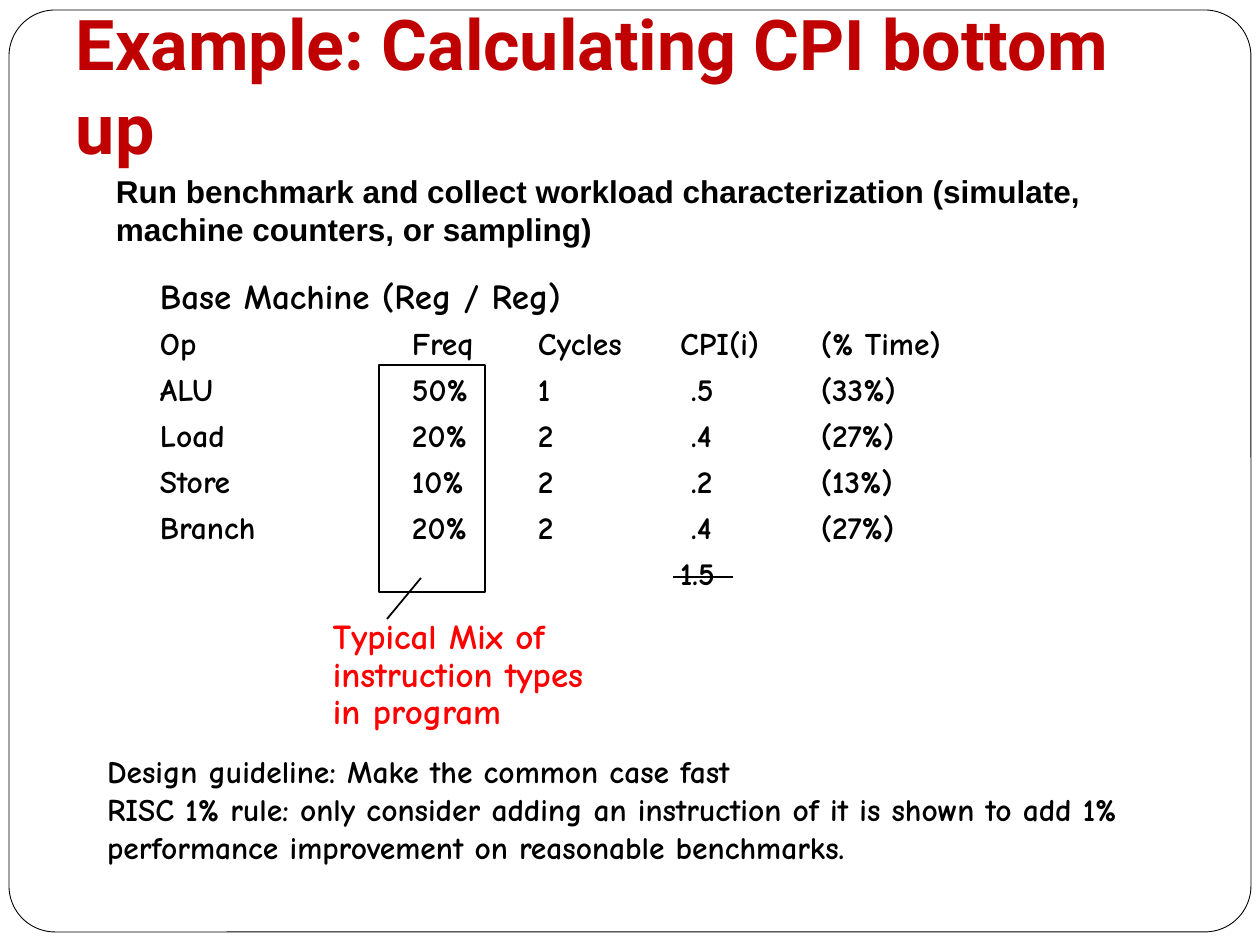
from dataclasses import dataclass

from lxml import etree
from pptx import Presentation
from pptx import util as u
from pptx.dml.color import RGBColor
from pptx.enum import shapes, text
from pptx.oxml.ns import qn


@dataclass(frozen=True)
class Theme:
    title: str = "C00000"
    ink: str = "000000"
    accent: str = "FF0000"
    paper: str = "FFFFFF"
    title_font: str = "Roboto"
    lead_font: str = "Arial"
    body_font: str = "Comic Neue"
    title_size: int = 40
    large: int = 20
    body: int = 18


T = Theme()
TAB_STOPS = (252, 378, 520, 661)
MIX_ROWS = [
    ("Op", "Freq", "Cycles", "CPI(i)", "(% Time)"),
    ("ALU", "50%", "1", " .5", "(33%)"),
    ("Load", "20%", "2", " .4", "(27%)"),
    ("Store", "10%", "2", " .2", "(13%)"),
    ("Branch", "20%", "2", " .4", "(27%)"),
    ("", "", "", "1.5"),
]


def px(n):
    return u.Emu(round(n * 914400 / 126))


def rgb(value):
    return RGBColor.from_string(value)


def set_all(obj, values):
    for name, value in values.items():
        setattr(obj, name, value)


def add_tabs(p, stops):
    tabs = etree.SubElement(p._p.get_or_add_pPr(), qn("a:tabLst"))
    for stop in stops:
        etree.SubElement(tabs, qn("a:tab"), pos=str(px(stop)), algn="l")


def add_text(s, box, lines, font, color, size, first_size=None, inset=(13, 6),
             anchor=text.MSO_ANCHOR.TOP, fit=text.MSO_AUTO_SIZE.SHAPE_TO_FIT_TEXT,
             wrap=True, spacing=None, before=0, tabs=()):
    tf = s.shapes.add_textbox(*map(px, box)).text_frame
    side, edge = map(px, inset)
    set_all(tf, {"word_wrap": wrap, "auto_size": fit, "vertical_anchor": anchor,
                 "margin_left": side, "margin_right": side,
                 "margin_top": edge, "margin_bottom": edge})
    for i, line in enumerate(lines):
        p = tf.add_paragraph() if i else tf.paragraphs[0]
        if tabs:
            add_tabs(p, tabs)
        if spacing:
            p.line_spacing = spacing
        if i and before:
            p.space_before = u.Pt(before)
        r = p.add_run()
        r.text = line
        points = size if i else first_size or size
        set_all(r.font, {"name": font, "size": u.Pt(points), "bold": True})
        r.font.color.rgb = rgb(color)


def add_outline(s, kind, box, width, fill=None):
    sp = s.shapes.add_shape(kind, *map(px, box))
    sp.shadow.inherit = False
    if fill:
        sp.fill.solid()
        sp.fill.fore_color.rgb = rgb(fill)
    else:
        sp.fill.background()
    sp.line.color.rgb = rgb(T.ink)
    sp.line.width = u.Pt(width)
    return sp


def add_line(s, *ends):
    line = s.shapes.add_connector(shapes.MSO_CONNECTOR.STRAIGHT, *map(px, ends))
    line.line.color.rgb = rgb(T.ink)
    line.line.width = u.Pt(1)
    etree.SubElement(line._element.spPr, qn("a:effectLst"))


def main():
    prs = Presentation()
    set_all(prs, {"slide_width": px(1260), "slide_height": px(945)})
    s = prs.slides.add_slide(prs.slide_layouts[6])

    # Slide frame and title
    frame = add_outline(s, shapes.MSO_SHAPE.ROUNDED_RECTANGLE,
                        (9, 10, 1242, 922), 0.5, T.paper)
    frame.adjustments[0] = 0.05
    add_text(s, (63, 122, 1124, 53), ["Example: Calculating CPI bottom up"],
             T.title_font, T.title, T.title_size,
             anchor=text.MSO_ANCHOR.BOTTOM, fit=text.MSO_AUTO_SIZE.NONE)

    # Caption of the frequency column and its leader
    add_line(s, 421, 578, 387, 619)
    add_text(s, (324, 615, 270, 121),
             ["Typical Mix of", "instruction types", "in program"],
             T.body_font, T.accent, T.large, inset=(9, 4), wrap=False, spacing=0.9)

    # Instruction mix, set on tab stops
    add_text(s, (147, 273, 965, 325),
             ["Base Machine (Reg / Reg)"] + ["\t".join(row) for row in MIX_ROWS],
             T.body_font, T.ink, T.body, first_size=T.large,
             spacing=0.9, before=6.8, tabs=TAB_STOPS)

    # Sum rule and frequency box
    add_line(s, 673, 577, 733, 577)
    add_outline(s, shapes.MSO_SHAPE.RECTANGLE, (379, 365, 106, 227), 1)

    # Guideline and lead sentence
    add_text(s, (94, 746, 1113, 126),
             ["Design guideline: Make the common case fast",
              "RISC 1% rule: only consider adding an instruction of it is shown "
              "to add 1% performance improvement on reasonable benchmarks."],
             T.body_font, T.ink, T.body)
    add_text(s, (103, 166, 1042, 88),
             ["Run benchmark and collect workload characterization "
              "(simulate, machine counters, or sampling)"],
             T.lead_font, T.ink, T.body)

    prs.save("out.pptx")


if __name__ == "__main__":
    main()
